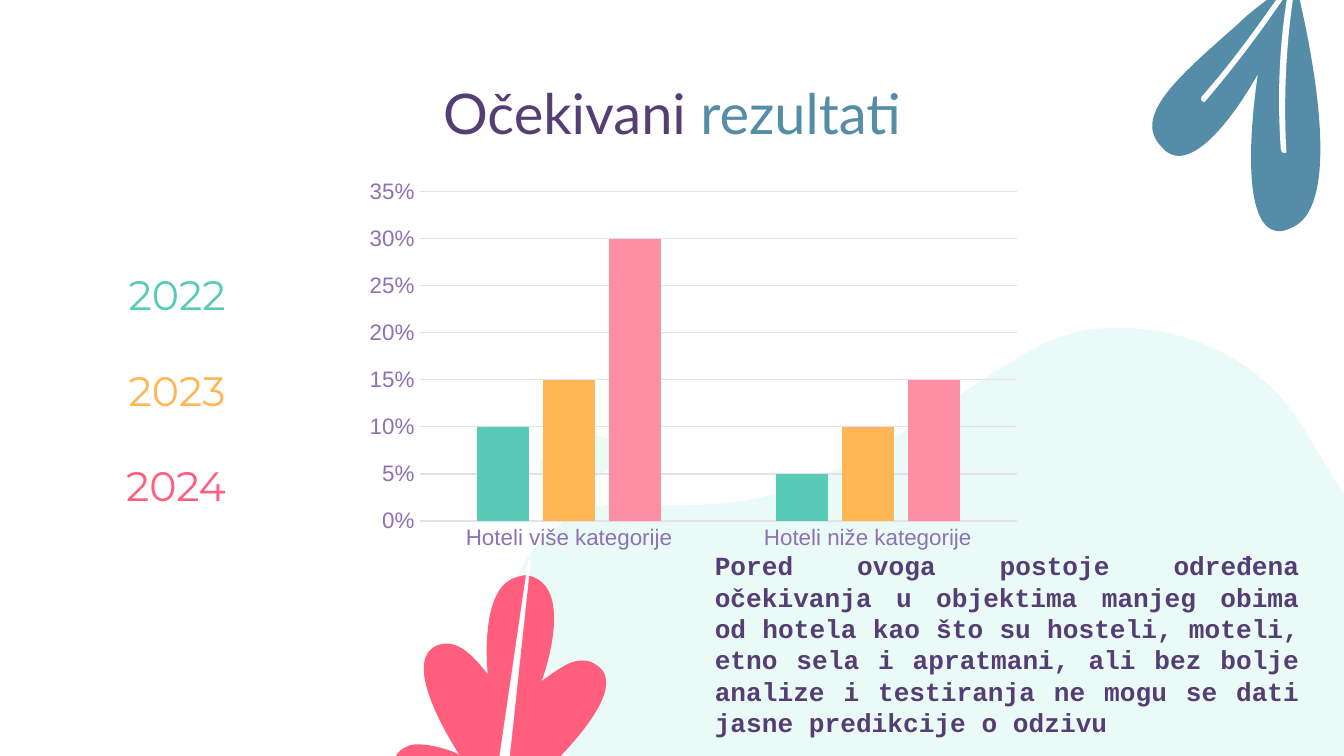
"""Build the expected-results slide: a clustered column chart with year labels and leaves."""
from copy import deepcopy
from dataclasses import dataclass

from pptx import Presentation
from pptx.chart.data import CategoryChartData
from pptx.dml.color import RGBColor
from pptx.enum.chart import XL_CHART_TYPE as ChartType, XL_TICK_MARK as Tick
from pptx.enum.text import MSO_ANCHOR as Anchor, PP_ALIGN as Align
from pptx.oxml.ns import qn
from pptx.util import Inches, Pt

COLS = 100
WIDTH, HEIGHT = Inches(10), Inches(5.625)
CELL = WIDTH // COLS

WHITE = RGBColor(0xFF, 0xFF, 0xFF)
MINT = RGBColor(0xEA, 0xFA, 0xF7)
BLUE = RGBColor(0x55, 0x8D, 0xA9)
PURPLE = RGBColor(0x55, 0x3E, 0x73)
LILAC = RGBColor(0x8E, 0x72, 0xB3)
GRID = RGBColor(0xE5, 0xDF, 0xEE)
TEAL = RGBColor(0x58, 0xCB, 0xB6)
AMBER = RGBColor(0xFF, 0xB7, 0x56)
ROSE = RGBColor(0xFF, 0x5E, 0x7C)
PINK = RGBColor(0xFD, 0x8E, 0xA3)


@dataclass(frozen=True)
class Box:
    """A rectangle in grid cells."""
    left: float
    top: float
    width: float
    height: float

    def emu(self) -> list[int]:
        """Return the rectangle in EMU."""
        return [round(v * CELL) for v in (self.left, self.top, self.width, self.height)]


@dataclass(frozen=True)
class Outline:
    """A filled outline in grid cells; a segment is a line end or a cubic curve."""
    color: RGBColor
    start: tuple
    segments: tuple


@dataclass(frozen=True)
class Label:
    """A text box in one font."""
    text: str
    box: Box
    font: str
    size: int
    color: RGBColor
    bold: bool = False
    align: Align = Align.LEFT


@dataclass(frozen=True)
class Series:
    """A column series."""
    name: str
    values: tuple
    color: RGBColor


HILL = Outline(MINT, (83.4, 24.4), (
    (82, 24.4, 80.7, 24.5, 79.5, 24.9), (78, 25.3, 76.6, 26.1, 75.3, 26.9),
    (68.2, 31.2, 61.3, 37.2, 53, 37.5), (51.9, 37.6, 50.9, 37.6, 49.8, 37.6),
    (48.7, 37.6, 47.6, 37.6, 46.5, 37.5), (46.4, 37.5, 46.3, 37.5, 46.2, 37.5),
    (38.6, 37.5, 32.5, 49.8, 43.3, 56.9), (108.8, 56.9),
    (109.2, 56.9, 109.8, 57, 110.3, 57), (110.6, 57, 110.8, 57, 111, 56.9),
    (112.3, 56.5, 112.9, 53.9, 113, 52.6), (113.2, 51.1, 113, 49.5, 112.1, 48.2),
    (111.3, 47, 110, 46.2, 108.7, 45.4), (104.8, 42.7, 101.4, 39.2, 99, 35.2),
    (98, 33.6, 97.1, 31.9, 96, 30.4), (93.1, 26.6, 88.2, 24.4, 83.4, 24.4)))
PEBBLE = Outline(MINT, (43.8, 32.4), (
    (42.6, 32.4, 41.3, 32.9, 40.5, 33.9), (40.3, 34.1, 40.2, 34.4, 40.2, 34.7),
    (40.2, 34.9, 40.3, 35.1, 40.4, 35.2), (40.7, 35.8, 41.4, 35.9, 42, 35.9),
    (42.2, 35.9, 42.5, 35.9, 42.6, 35.9), (43.5, 35.7, 44.4, 35.5, 45.2, 35),
    (45.8, 34.7, 46.4, 34.2, 46.3, 33.6), (46.3, 33.5, 46.3, 33.3, 46.2, 33.2),
    (46.2, 33.2, 46.1, 33.1, 46, 33), (45.4, 32.6, 44.6, 32.4, 43.8, 32.4)))
BLUE_LEAF = Outline(BLUE, (96.3, -1.7), (
    (97.1, 1.5, 100.3, 15, 96.2, 16.9), (95.8, 17.1, 95.5, 17.2, 95.2, 17.2),
    (91.7, 17.2, 93.6, 5.5, 93.6, 5.5), (93.6, 5.5, 90.3, 11.6, 87.7, 11.6),
    (87.3, 11.6, 86.8, 11.4, 86.5, 11), (84.1, 8.7, 87.7, 5.7, 92.1, 1.8),
    (92.8, 1.1, 93.6, 0.5, 94.4, -0.1), (96.3, -1.7)))
LONG_VEIN = Outline(WHITE, (96.2, -1.6), (
    (96.3, -1.6, 96.5, -1.4, 96.3, -1.3), (94.3, 1.7, 92.1, 4.7, 89.7, 7.5),
    (89.7, 7.6, 89.6, 7.6, 89.6, 7.6), (89.4, 7.6, 89.3, 7.4, 89.4, 7.2),
    (91.8, 4.5, 93.9, 1.5, 96, -1.5), (96, -1.6, 96.1, -1.6, 96.2, -1.6)))
STEEP_VEIN = Outline(WHITE, (96.1, -1.6), (
    (96.3, -1.6, 96.4, -1.5, 96.4, -1.3), (95.7, 2.8, 95.5, 7, 95.7, 11.1),
    (95.8, 11.3, 95.7, 11.4, 95.6, 11.4), (95.4, 11.4, 95.3, 11.3, 95.3, 11.1),
    (95, 6.9, 95.2, 2.7, 96, -1.5), (96, -1.6, 96.1, -1.6, 96.1, -1.6)))
ROSE_LEAF = Outline(ROSE, (38.3, 43), (
    (35.6, 43.9, 36.3, 50.2, 36.3, 50.2), (34.6, 47.9, 33.5, 47.7, 32.6, 48),
    (30, 49, 32.8, 54, 34.2, 56.2), (33.9, 55.9, 31.4, 55.1, 30.4, 55.5),
    (26.4, 57, 34.8, 64.3, 36.6, 64.5), (36.9, 64.5, 37.5, 64.4, 38.2, 64.1),
    (41.5, 62.9, 47.6, 59.2, 44.8, 57.2), (43.9, 56.6, 41.5, 56.8, 41, 57),
    (40.9, 57, 40.9, 57, 40.9, 57.1), (42.8, 55.2, 46.7, 51, 44.4, 49.5),
    (44, 49.2, 43.4, 49, 42.5, 49.3), (42, 49.5, 41.2, 50, 40.3, 50.7),
    (40.3, 50.7, 43, 43.5, 39.2, 42.8), (38.9, 42.8, 38.6, 42.9, 38.3, 43)))
STEM = Outline(WHITE, (39.3, 41.7), ((35.9, 64.9), (37, 65), (39.5, 41.7)))
OUTLINES = (HILL, PEBBLE, BLUE_LEAF, LONG_VEIN, STEEP_VEIN, ROSE_LEAF, STEM)

NOTE = Label(
    "Pored ovoga postoje određena očekivanja u objektima manjeg obima od hotela kao što su "
    "hosteli, moteli, etno sela i apratmani, ali bez bolje analize i testiranja ne mogu se "
    "dati jasne predikcije o odzivu",
    Box(52.2, 41.7, 45.5, 12.4), "Courier New", 14, PURPLE, True, Align.JUSTIFY)
YEARS = [Label(year, Box(left, 19.4 + 7.1 * i, 27, 5), "Montserrat", 22, color)
         for i, (year, left, color) in enumerate(
             (("2022", 8.6, TEAL), ("2023", 8.6, AMBER), ("2024", 8.4, ROSE)))]
CATEGORIES = ("Hoteli više kategorije", "Hoteli niže kategorije")
SERIES = (Series("Series 1", (0.1, 0.05), TEAL),
          Series("Series 2", (0.15, 0.1), AMBER),
          Series("Series 3", (0.3, 0.15), PINK))


def set_frame(tf, anchor: Anchor) -> None:
    """Give a text frame its insets, wrapping and anchor."""
    tf.word_wrap = True
    tf.vertical_anchor = anchor
    tf.margin_left = tf.margin_right = tf.margin_top = tf.margin_bottom = CELL


def set_font(font, name: str, size: int, color: RGBColor, bold: bool = False) -> None:
    """Set the font's face, size, colour and weight."""
    font.name, font.size, font.bold = name, Pt(size), bold
    font.color.rgb = color


def bend(line, controls: tuple, left: int, top: int) -> None:
    """Turn a line of a freeform into a cubic curve."""
    line.tag = qn("a:cubicBezTo")
    end = line[0]
    for x, y in zip(controls[::2], controls[1::2]):
        pt = deepcopy(end)
        pt.set("x", str(round(x * CELL) - left))
        pt.set("y", str(round(y * CELL) - top))
        end.addprevious(pt)


def draw_outline(s, outline: Outline) -> None:
    """Draw a filled outline without a line."""
    start, *ends = [tuple(round(v * CELL) for v in segment[-2:])
                    for segment in (outline.start, *outline.segments)]
    builder = s.shapes.build_freeform(*start, scale=1.0)
    builder.add_line_segments(ends, close=True)
    sp = builder.convert_to_shape()
    for line, segment in zip(sp.element.xpath(".//a:lnTo"), outline.segments):
        if len(segment) > 2:
            bend(line, segment[:-2], sp.left, sp.top)
    sp.shadow.inherit = False
    sp.fill.solid()
    sp.fill.fore_color.rgb = outline.color
    sp.line.fill.background()


def draw_title(s) -> None:
    """Place the two-coloured title."""
    sp = s.shapes.title
    sp.left, sp.top, sp.width, sp.height = Box(7.8, 4.86, 84.4, 6.3).emu()
    set_frame(sp.text_frame, Anchor.TOP)
    p = sp.text_frame.paragraphs[0]
    p.alignment = Align.CENTER
    for text, color in (("Očekivani ", PURPLE), ("rezultati", BLUE)):
        r = p.add_run()
        r.text = text
        set_font(r.font, "Lato", 30, color)


def draw_label(s, label: Label) -> None:
    """Draw a text box."""
    tf = s.shapes.add_textbox(*label.box.emu()).text_frame
    set_frame(tf, Anchor.MIDDLE)
    p = tf.paragraphs[0]
    p.text, p.alignment = label.text, label.align
    set_font(p.font, label.font, label.size, label.color, label.bold)


def draw_chart(s) -> None:
    """Draw the column chart."""
    data = CategoryChartData(number_format="0%")
    data.categories = CATEGORIES
    for series in SERIES:
        data.add_series(series.name, series.values)
    box = Box(26.5, 12.8, 50.2, 28.7)
    chart = s.shapes.add_chart(ChartType.COLUMN_CLUSTERED, *box.emu(), data).chart
    chart.has_legend = chart.has_title = False
    set_font(chart.font, "Arial", 10, PURPLE)
    cat, val = chart.category_axis, chart.value_axis
    for axis in (cat, val):
        axis.major_tick_mark = axis.minor_tick_mark = Tick.NONE
        set_font(axis.tick_labels.font, "Arial", 12, LILAC)
    val.minimum_scale, val.maximum_scale, val.major_unit = 0, 0.35, 0.05
    val.tick_labels.number_format, val.tick_labels.number_format_is_linked = "0%", False
    val.format.line.fill.background()
    for line in (cat.format.line, val.major_gridlines.format.line):
        line.color.rgb, line.width = GRID, Pt(0.75)
    plot = chart.plots[0]
    plot.gap_width, plot.overlap, plot.vary_by_categories = 219, -27, False
    for drawn, series in zip(plot.series, SERIES):
        drawn.format.fill.solid()
        drawn.format.fill.fore_color.rgb = series.color


def main() -> None:
    """Build and save the slide."""
    prs = Presentation()
    prs.slide_width, prs.slide_height = WIDTH, HEIGHT
    s = prs.slides.add_slide(prs.slide_layouts[5])
    draw_title(s)
    for outline in OUTLINES:
        draw_outline(s, outline)
    for label in (NOTE, *YEARS):
        draw_label(s, label)
    draw_chart(s)
    prs.save("out.pptx")


if __name__ == "__main__":
    main()
